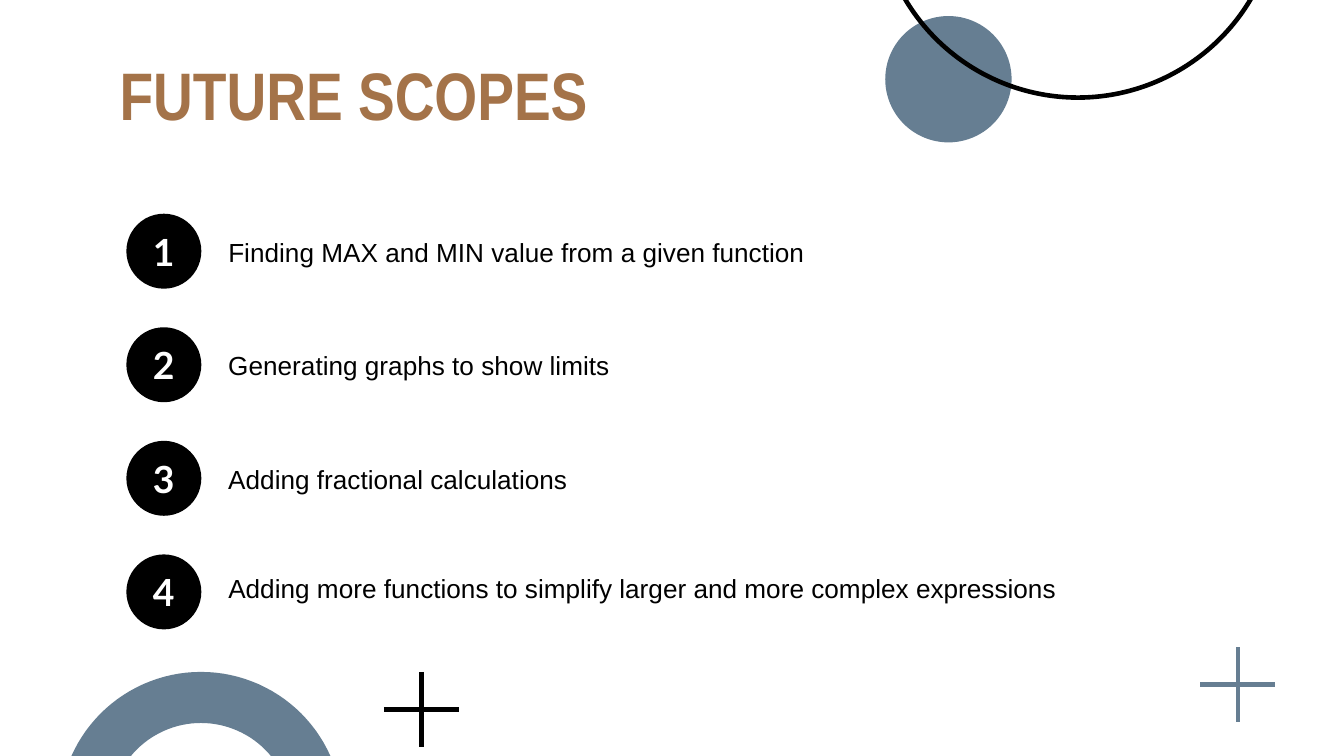
from math import cos, pi, sin

from pptx import Presentation
from pptx.dml.color import RGBColor
from pptx.enum.shapes import MSO_CONNECTOR, MSO_SHAPE
from pptx.enum.text import MSO_ANCHOR, MSO_AUTO_SIZE, PP_ALIGN
from pptx.oxml.ns import qn
from pptx.util import Inches, Pt

COLOURS = {name: RGBColor.from_string(value) for name, value in {
    "ink": "000000", "paper": "FFFFFF", "slate": "667E92", "bronze": "A47349",
}.items()}
WIDTH = 10
HEIGHT = WIDTH * 9 / 16
LINE_WIDTH = Pt(2.46)
CROSS = 0.56

TITLE_FORMAT = {"name": "Arial Narrow", "size": Pt(36), "bold": True}
NUMBER_FORMAT = {"name": "Lato", "size": Pt(20), "bold": True}
LABEL_FORMAT = {"name": "Arial", "size": Pt(14), "bold": False}

# Each scope: wording, label width, label drop below the badge top
SCOPES = [
    ("Finding MAX and MIN value from a given function", 4.88, 0.03),
    ("Generating graphs to show limits", 4.67, 0.03),
    ("Adding fractional calculations", 4.16, 0.03),
    ("Adding more functions to simplify larger and more complex expressions", 6.79, 0),
]


def inches(*lengths):
    return [Inches(length) for length in lengths]


def write(shape, text, text_format, colour, align=PP_ALIGN.LEFT, anchor=MSO_ANCHOR.MIDDLE):
    frame = shape.text_frame
    frame_format = {"word_wrap": True, "auto_size": MSO_AUTO_SIZE.NONE, "vertical_anchor": anchor}
    frame_format.update({f"margin_{side}": Inches(0.1) for side in ("left", "top", "right", "bottom")})
    for name, value in frame_format.items():
        setattr(frame, name, value)
    para = frame.paragraphs[0]
    para.alignment = align
    span = para.add_run()
    span.text = text
    for name, value in text_format.items():
        setattr(span.font, name, value)
    span.font.color.rgb = COLOURS[colour]


def paint(shape, fill=None, line=None):
    shape.shadow.inherit = False
    if fill:
        shape.fill.solid()
        shape.fill.fore_color.rgb = COLOURS[fill]
    else:
        shape.fill.background()
    if line:
        shape.line.color.rgb = COLOURS[line]
        shape.line.width = LINE_WIDTH
    else:
        shape.line.fill.background()


def add_circle(page, left, top, size, fill=None, line=None):
    circle = page.shapes.add_shape(MSO_SHAPE.OVAL, *inches(left, top, size, size))
    paint(circle, fill, line)
    return circle


def add_cross(page, left, top, size, colour):
    middle_x, middle_y = left + size / 2, top + size / 2
    for ends in ((middle_x, top, middle_x, top + size), (left, middle_y, left + size, middle_y)):
        stroke = page.shapes.add_connector(MSO_CONNECTOR.STRAIGHT, *inches(*ends))
        stroke.line.color.rgb = COLOURS[colour]
        stroke.line.width = LINE_WIDTH
        properties = stroke._element.spPr
        properties.append(properties.makeelement(qn("a:effectLst"), {}))


def add_half_ring(page, left, top, width, thickness, colour, steps=60):
    radius = width / 2
    angles = [pi * step / steps for step in range(steps + 1)]
    points = [
        inches(left + radius - size * cos(angle), top + radius - size * sin(angle))
        for size, sweep in ((radius, angles), (radius - thickness, angles[::-1]))
        for angle in sweep
    ]
    builder = page.shapes.build_freeform(*points[0])
    builder.add_line_segments(points[1:], close=True)
    paint(builder.convert_to_shape(), fill=colour)


def add_decoration(page, width, height):
    column, row = width / 100, height / 100
    # Bottom edge
    add_cross(page, 28.57 * column, 88.89 * row, CROSS, "ink")
    add_half_ring(page, 4.4 * column, 88.89 * row, 2.11, 0.38, "slate")
    add_cross(page, 89.3 * column, 85.6 * row, CROSS, "slate")
    # Top right corner
    add_circle(page, 65.87 * column, 2.13 * row, 0.94, fill="slate")
    add_circle(page, 65.25 * column, -40.25 * row, 2.99, line="ink")


def add_title(page, left, top, width, height):
    title = page.shapes.title
    title.left, title.top, title.width, title.height = inches(left, top, width, height)
    write(title, "FUTURE SCOPES", TITLE_FORMAT, "bronze", anchor=MSO_ANCHOR.TOP)


def add_scopes(page, left, top, height):
    row_height = height / len(SCOPES)
    badge_size, label_height = 0.66 * row_height, 0.6 * row_height
    for index, (text, width, drop) in enumerate(SCOPES):
        row_top = top + index * row_height
        badge = add_circle(page, left, row_top, badge_size, fill="ink")
        write(badge, str(index + 1), NUMBER_FORMAT, "paper", PP_ALIGN.CENTER)
        label = page.shapes.add_textbox(*inches(left + 0.66, row_top + drop, width, label_height))
        write(label, text, LABEL_FORMAT, "ink")


def main():
    deck = Presentation()
    deck.slide_width, deck.slide_height = inches(WIDTH, HEIGHT)
    page = deck.slides.add_slide(deck.slide_layouts[5])
    page.background.fill.solid()
    page.background.fill.fore_color.rgb = COLOURS["paper"]
    add_decoration(page, WIDTH, HEIGHT)
    add_title(page, 0.79, 0.3, 8.43, 0.78)
    add_scopes(page, 0.94, 1.59, 3.38)
    deck.save("out.pptx")


if __name__ == "__main__":
    main()
